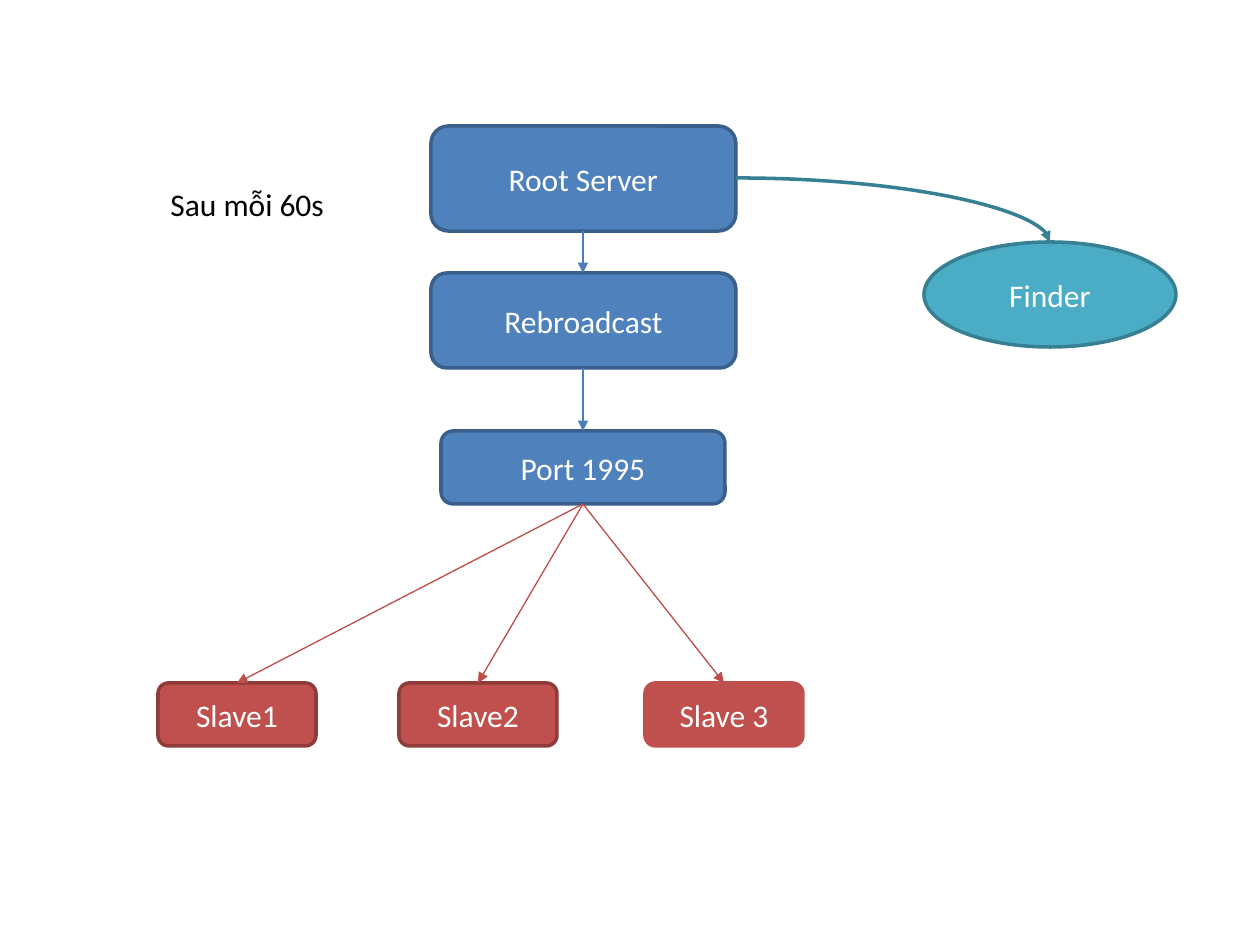
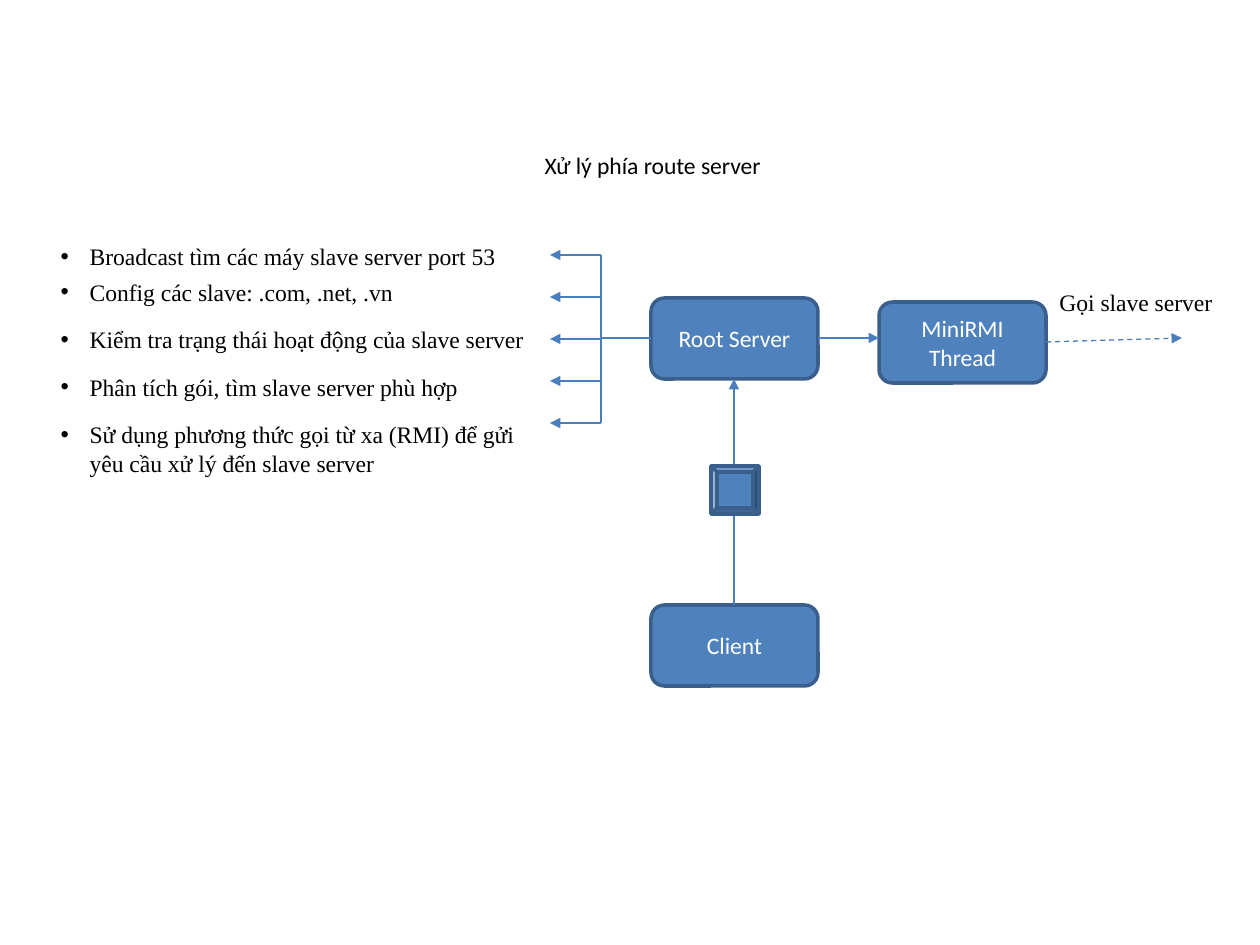
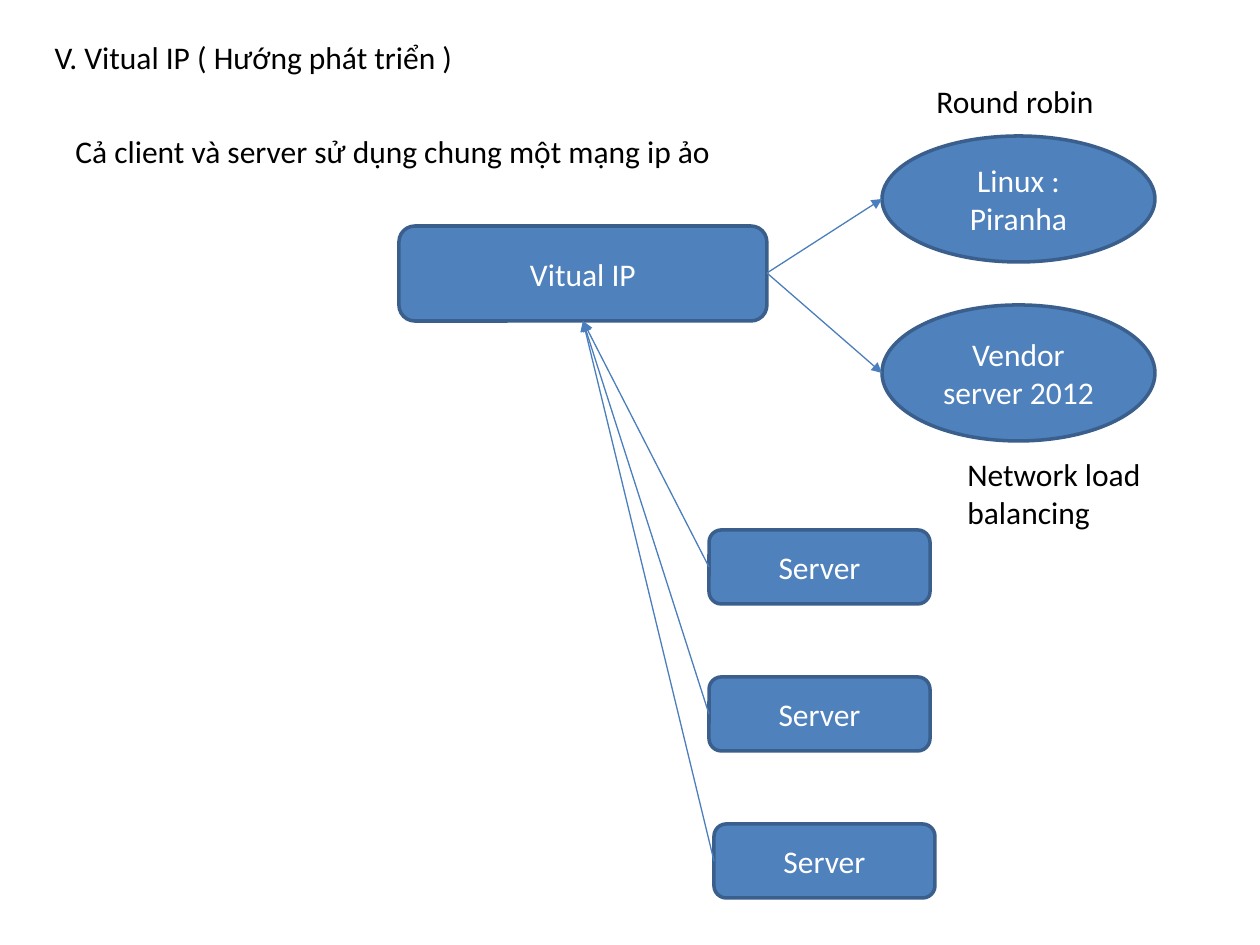
import lxml.etree
import pptx
import pptx.dml.color
import pptx.enum.dml
import pptx.enum.shapes
import pptx.enum.text
import pptx.oxml.ns
import pptx.util

SCALE = 914400 / 126  # EMU per px
SHAPE = pptx.enum.shapes.MSO_SHAPE
LINK = pptx.enum.shapes.MSO_CONNECTOR
ALIGN = pptx.enum.text.PP_ALIGN
ANCHOR = pptx.enum.text.MSO_ANCHOR
AUTO = pptx.enum.text.MSO_AUTO_SIZE
qn = pptx.oxml.ns.qn

# Colours: (fill, outline)
BLUE = ("4F81BD", "3A5F8C")
RED = ("C0504D", "8E3B39")
RED_FLAT = ("C0504D", "C0504D")
TEAL = ("4BACC6", "377F92")
BLUE_LINK, RED_LINK = "4B7EBC", "BF4C48"
WHITE, BLACK = "FFFFFF", "000000"

# Text formats
LARGE = {"name": "Calibri", "size": pptx.util.Pt(18)}
SMALL = {"name": "Calibri", "size": pptx.util.Pt(13.5)}
SERIF = {"name": "Times New Roman", "size": pptx.util.Pt(13.5)}


def px(n):
    return pptx.util.Emu(round(n * SCALE))


def rgb(value):
    return pptx.dml.color.RGBColor.from_string(value)


def sub(parent, tag, **attrs):
    return lxml.etree.SubElement(parent, qn(tag), attrs)


def set_font(p, fmt, color):
    for name, value in fmt.items():
        setattr(p.font, name, value)
    p.font.color.rgb = rgb(color)


# Points on the edges of a (left, top, width, height) box
def top(box):
    return box[0] + box[2] // 2, box[1]


def bottom(box):
    return box[0] + box[2] // 2, box[1] + box[3]


def left(box):
    return box[0], box[1] + box[3] // 2


def right(box):
    return box[0] + box[2], box[1] + box[3] // 2


def add_node(slide, box, text="", fmt=LARGE, colors=BLUE, kind=SHAPE.ROUNDED_RECTANGLE):
    sp = slide.shapes.add_shape(kind, *map(px, box))
    sp.shadow.inherit = False
    sp.fill.solid()
    sp.fill.fore_color.rgb = rgb(colors[0])
    sp.line.color.rgb = rgb(colors[1])
    sp.line.width = pptx.util.Pt(2)
    if text:
        tf = sp.text_frame
        tf.text = text
        tf.vertical_anchor = ANCHOR.MIDDLE
        p = tf.paragraphs[0]
        p.alignment = ALIGN.CENTER
        set_font(p, fmt, WHITE)


def add_link(slide, start, end, color=BLUE_LINK, width=0.75, arrow=True, dash=False, curved=False):
    kind = LINK.CURVE if curved else LINK.STRAIGHT
    line = slide.shapes.add_connector(kind, *map(px, start + end))
    line.line.color.rgb = rgb(color)
    line.line.width = pptx.util.Pt(width)
    sp_pr = line._element.spPr
    if curved:
        sp_pr.find(qn("a:prstGeom")).set("prst", "curvedConnector2")
    if dash:
        line.line.dash_style = pptx.enum.dml.MSO_LINE.DASH
    if arrow:
        sub(sp_pr.find(qn("a:ln")), "a:tailEnd", type="triangle")
    sub(sp_pr, "a:effectLst")


def add_label(slide, box, text, fmt=LARGE, wrap=True):
    tf = slide.shapes.add_textbox(*map(px, box)).text_frame
    tf.word_wrap = wrap
    tf.auto_size = AUTO.SHAPE_TO_FIT_TEXT
    tf.text = text
    set_font(tf.paragraphs[0], fmt, BLACK)


def place_text(sp, box, wrap=True):
    sp.left, sp.top, sp.width, sp.height = map(px, box)
    tf = sp.text_frame
    tf.word_wrap = wrap
    tf.auto_size = AUTO.NONE
    tf.vertical_anchor = ANCHOR.TOP
    return tf


def set_title(slide, box, text, fmt):
    tf = place_text(slide.shapes.title, box, wrap=False)
    tf.text = text
    p = tf.paragraphs[0]
    p.alignment = ALIGN.LEFT
    set_font(p, fmt, BLACK)


def set_list(slide, box, items):
    """Fill the body placeholder with (text, points before) bullets."""
    tf = place_text(slide.placeholders[1], box)
    for i, (text, before) in enumerate(items):
        p = tf.add_paragraph() if i else tf.paragraphs[0]
        p.text = text
        p_pr = p._p.get_or_add_pPr()
        p_pr.set("marL", str(px(29)))
        p_pr.set("indent", str(px(-29)))
        sub(p_pr, "a:buChar", char="•")
        p.space_before = pptx.util.Pt(before)
        set_font(p, SERIF, BLACK)


def build_broadcast(slide):
    add_label(slide, (158, 179, 242, 50), "Sau mỗi 60s")

    # Server chain
    root, rebroadcast, port = (431, 126, 305, 105), (431, 273, 305, 95), (441, 431, 284, 73)
    add_node(slide, root, "Root Server", kind=SHAPE.FLOWCHART_ALTERNATE_PROCESS)
    add_node(slide, rebroadcast, "Rebroadcast")
    add_node(slide, port, "Port 1995")
    add_link(slide, bottom(root), top(rebroadcast))
    add_link(slide, bottom(rebroadcast), top(port))

    # Slaves
    for x, text, colors in ((158, "Slave1", RED), (399, "Slave2", RED), (645, "Slave 3", RED_FLAT)):
        slave = (x, 683, 158, 63)
        add_node(slide, slave, text, colors=colors)
        add_link(slide, bottom(port), top(slave), RED_LINK)

    # Outside service
    service = (924, 242, 252, 105)
    add_node(slide, service, "Finder", colors=TEAL, kind=SHAPE.OVAL)
    add_link(slide, right(root), top(service), TEAL[1], width=2, curved=True)


def build_root_server(slide):
    set_title(slide, (532, 145, 245, 42), "Xử lý phía route server", SMALL)
    set_list(slide, (48, 236, 496, 250), (
        ("Broadcast tìm các máy slave server port 53", 0),
        ("Config các slave: .com, .net, .vn", 4),
        ("Kiểm tra trạng thái hoạt động của slave server", 11),
        ("Phân tích gói, tìm slave server phù hợp", 11),
        ("Sử dụng phương thức gọi từ xa (RMI) để gửi yêu cầu xử lý đến slave server", 11),
    ))

    # Servers and the packet on its way from the client
    client, root, thread = (651, 605, 167, 81), (651, 298, 167, 81), (879, 302, 167, 81)
    add_node(slide, client, "Client", SMALL)
    add_node(slide, root, "Root Server", SMALL)
    add_node(slide, thread, "MiniRMI\vThread", SMALL)
    add_link(slide, top(client), bottom(root))
    add_node(slide, (711, 466, 48, 48), kind=SHAPE.BEVEL)
    add_link(slide, right(root), (879, 338))

    # Call to the slave server
    add_label(slide, (1047, 282, 180, 42), "Gọi slave server", SERIF, wrap=False)
    add_link(slide, right(thread), (1182, 338), dash=True)

    # Bracket pointing at the tasks
    spine, rows = 601, [255 + 42 * i for i in range(5)]
    add_link(slide, left(root), (spine, 338), arrow=False)
    add_link(slide, (spine, rows[0]), (spine, rows[-1]), arrow=False)
    for y in rows:
        add_link(slide, (spine, y), (550, y))


def build_virtual_ip(slide):
    set_title(slide, (42, 32, 557, 50), "V. Vitual IP ( Hướng phát triển )", LARGE)
    add_label(slide, (63, 126, 756, 50), "Cả client và server sử dụng chung một mạng ip ảo")

    virtual_ip = (399, 226, 368, 95)
    add_node(slide, virtual_ip, "Vitual IP")

    # Platforms
    for box, text in (((882, 136, 273, 126), "Linux : Piranha"),
                      ((882, 305, 273, 136), "Vendor server 2012")):
        add_node(slide, box, text, kind=SHAPE.OVAL)
        add_link(slide, right(virtual_ip), left(box))
    add_label(slide, (924, 76, 262, 50), "Round robin")
    add_label(slide, (955, 449, 252, 89), "Network load balancing")

    # Servers
    for i, x in enumerate((709, 709, 714)):
        server = (x, 530 + 147 * i, 221, 74)
        add_node(slide, server, "Server")
        add_link(slide, left(server), bottom(virtual_ip))


def main():
    prs = pptx.Presentation()
    prs.slide_width, prs.slide_height = px(1260), px(945)
    # Layouts: 6 blank, 1 title and content, 5 title only
    for layout, build in ((6, build_broadcast), (1, build_root_server), (5, build_virtual_ip)):
        build(prs.slides.add_slide(prs.slide_layouts[layout]))
    prs.save("out.pptx")


if __name__ == "__main__":
    main()
